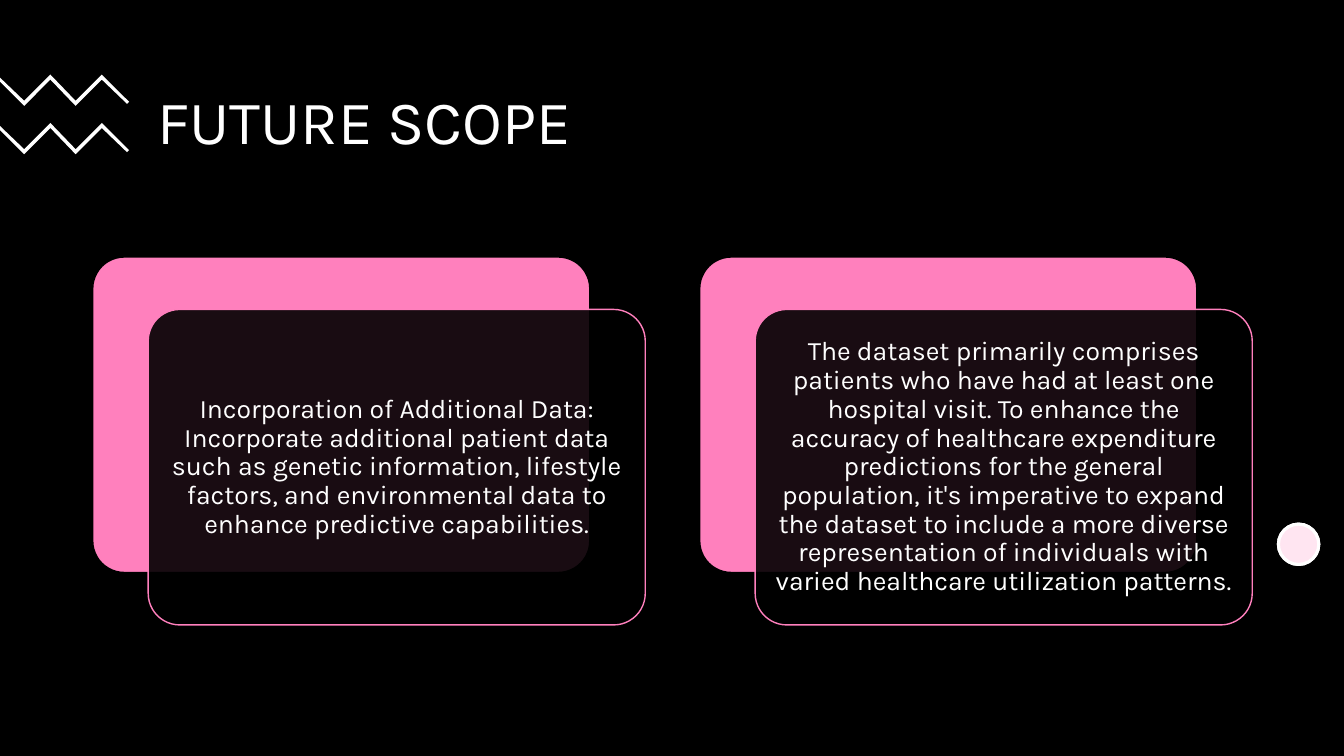
from lxml.etree import SubElement
from pptx import Presentation
from pptx.dml.color import RGBColor
from pptx.enum.shapes import MSO_SHAPE
from pptx.enum.text import MSO_ANCHOR, MSO_AUTO_SIZE, PP_ALIGN
from pptx.oxml.ns import qn
from pptx.util import Pt

EMU_PER_PX = 9144
BLACK, WHITE, PINK = "000000", "FFFFFF", "FF80BD"

CARD_TEXTS = [
    "Incorporation of Additional Data: Incorporate additional patient data such as "
    "genetic information, lifestyle factors, and environmental data to enhance "
    "predictive capabilities.",
    "The dataset primarily comprises patients who have had at least one hospital visit. "
    "To enhance the accuracy of healthcare expenditure predictions for the general "
    "population, it's imperative to expand the dataset to include a more diverse "
    "representation of individuals with varied healthcare utilization patterns.",
]
ZIGZAG_TOP = [(0, 3), (24, 26), (50, 0), (75, 26), (101, 0), (128, 27)]
ZIGZAG_BOTTOM = [(126, 29), (101, 5), (75, 31), (50, 5), (24, 31), (0, 7)]


def px(length):
    return length * EMU_PER_PX


def color(value):
    return RGBColor.from_string(value)


class SlideBuilder:
    font_name = "Karla"
    text_color = WHITE

    def __init__(self, presentation):
        self.slide = presentation.slides.add_slide(presentation.slide_layouts[5])
        self.paint(self.slide.background, BLACK)

    def paint(self, target, fill, opacity=100):
        target.fill.solid()
        target.fill.fore_color.rgb = color(fill)
        if opacity < 100:
            color_element = next(target.element.spPr.iterchildren(qn("a:solidFill")))[0]
            SubElement(color_element, qn("a:alpha"), val=str(opacity * 1000))

    def set_text(self, shape, text, size, alignment):
        frame = shape.text_frame
        frame.text = text
        frame.word_wrap = True
        frame.auto_size = MSO_AUTO_SIZE.NONE
        frame.vertical_anchor = MSO_ANCHOR.MIDDLE
        paragraph = frame.paragraphs[0]
        paragraph.alignment = alignment
        paragraph.line_spacing = 0.9
        paragraph.space_before = Pt(0)
        for run in paragraph.runs:
            run.font.name = self.font_name
            run.font.size = Pt(size)
            run.font.color.rgb = color(self.text_color)

    def title(self, text, left, top, width, height):
        title = self.slide.shapes.title
        title.left, title.top = px(left), px(top)
        title.width, title.height = px(width), px(height)
        self.set_text(title, text, 44, PP_ALIGN.LEFT)

    def shape(self, kind, left, top, width, height, fill, line, line_width, opacity=100):
        shape = self.slide.shapes.add_shape(kind, px(left), px(top), px(width), px(height))
        shape.shadow.inherit = False
        self.paint(shape, fill, opacity)
        shape.line.color.rgb = color(line)
        shape.line.width = Pt(line_width)
        return shape

    def zigzag(self, top):
        points = [(x, top + y) for x, y in ZIGZAG_TOP + ZIGZAG_BOTTOM]
        builder = self.slide.shapes.build_freeform(*points[0], scale=EMU_PER_PX)
        builder.add_line_segments(points[1:], close=True)
        shape = builder.convert_to_shape()
        shape.shadow.inherit = False
        self.paint(shape, WHITE)
        shape.line.fill.background()

    def dot(self, left, top, size):
        for fill, opacity in ((WHITE, 100), (PINK, 20)):
            self.shape(MSO_SHAPE.OVAL, left, top, size, size, fill, WHITE, 2.25, opacity)

    def card(self, text, left, top, width, height):
        back = self.shape(MSO_SHAPE.ROUNDED_RECTANGLE, left, top, width, height, PINK, BLACK, 1)
        front = self.shape(MSO_SHAPE.ROUNDED_RECTANGLE, left + 55, top + 52, width, height,
                           BLACK, PINK, 1, 90)
        for panel in (back, front):
            panel.adjustments[0] = 0.1
        frame = front.text_frame
        frame.margin_left = frame.margin_right = px(8)
        frame.margin_top = frame.margin_bottom = px(8)
        self.set_text(front, text, 19, PP_ALIGN.CENTER)


def main():
    presentation = Presentation()
    presentation.slide_width, presentation.slide_height = px(1333), px(750)
    builder = SlideBuilder(presentation)
    builder.title("FUTURE SCOPE", 146, 62, 1066, 123)
    for top in (74, 122):
        builder.zigzag(top)
    builder.dot(1268, 520, 40)
    for index, text in enumerate(CARD_TEXTS):
        builder.card(text, 92 + index * 602, 255, 493, 313)
    presentation.save("out.pptx")


if __name__ == "__main__":
    main()
